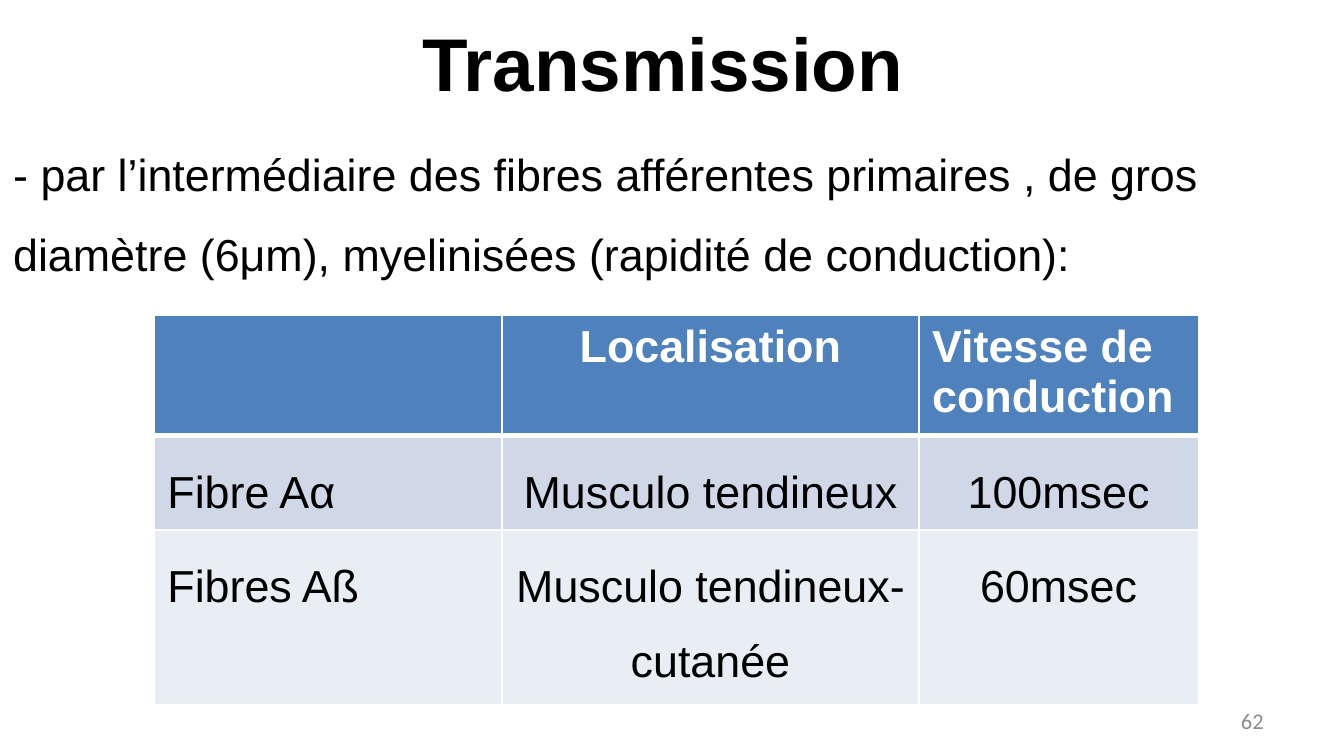
"""Build the slide on the transmission speed of primary afferent fibres."""
from lxml import etree
from pptx import Presentation
from pptx import util as u
from pptx.dml.color import RGBColor
from pptx.enum import text
from pptx.oxml import ns

COLORS = {"ink": "000000", "white": "FFFFFF", "number": "8C8C8C",
          "header": "4F81BD", "band_dark": "D0D8E8", "band_light": "E9EDF4"}
LEFT, CENTER, RIGHT = text.PP_ALIGN.LEFT, text.PP_ALIGN.CENTER, text.PP_ALIGN.RIGHT
TOP, MIDDLE = text.MSO_ANCHOR.TOP, text.MSO_ANCHOR.MIDDLE

LABELS = [
    ("Transmission ", (36.5, -0.7, 648, 67.7),
     dict(size=40, bold=True, align=CENTER, anchor=MIDDLE)),
    ("- par l’intermédiaire des fibres afférentes primaires , de gros diamètre "
     "(6μm), myelinisées (rapidité de conduction):", (0, 60.5, 720, 267),
     dict(spacing=1.5)),
    ("62", (516, 375, 168, 21.6),
     dict(size=12, font="Calibri", color="number", align=RIGHT, anchor=MIDDLE)),
]

FIBRES = [
    ("", "Localisation", "Vitesse de conduction"),
    ("Fibre Aα", "Musculo tendineux", "100msec"),
    ("Fibres Aß", "Musculo tendineux- cutanée", "60msec"),
]
COLUMN_WIDTHS = (186.5, 223.2, 149.8)
ROW_HEIGHTS = (60, 47, 87)
ROW_FILLS = ("header", "band_dark", "band_light")
HEADER_ALIGN = (LEFT, CENTER, LEFT)
BODY_ALIGN = (LEFT, CENTER, CENTER)


def write(frame, words, size=24, font="Arial", color="ink", bold=False,
          align=LEFT, anchor=TOP, spacing=1.0):
    frame.word_wrap = True
    frame.vertical_anchor = anchor
    paragraph = frame.paragraphs[0]
    paragraph.alignment = align
    paragraph.line_spacing = spacing
    paragraph.font.size = u.Pt(size)
    if words:
        run = paragraph.add_run()
        run.text = words
        run.font.size, run.font.name, run.font.bold = u.Pt(size), font, bold
        run.font.color.rgb = RGBColor.from_string(COLORS[color])


def draw_borders(cell, widths):
    properties = cell._tc.get_or_add_tcPr()
    for side, width in widths.items():
        line = etree.SubElement(properties, ns.qn(f"a:ln{side}"), w=str(u.Pt(width)))
        fill = etree.SubElement(line, ns.qn("a:solidFill"))
        etree.SubElement(fill, ns.qn("a:srgbClr"), val=COLORS["white"])


def add_fibre_table(slide):
    table = slide.shapes.add_table(
        len(FIBRES), len(COLUMN_WIDTHS), u.Pt(82.5), u.Pt(168.7),
        u.Pt(sum(COLUMN_WIDTHS)), u.Pt(sum(ROW_HEIGHTS))).table
    for column, width in zip(table.columns, COLUMN_WIDTHS):
        column.width = u.Pt(width)
    for r, fibre in enumerate(FIBRES):
        table.rows[r].height = u.Pt(ROW_HEIGHTS[r])
        header = r == 0
        for c, words in enumerate(fibre):
            cell = table.cell(r, c)
            draw_borders(cell, {"L": 1, "R": 1, "T": 3 if r == 1 else 1,
                                "B": 3 if header else 1})
            cell.fill.solid()
            cell.fill.fore_color.rgb = RGBColor.from_string(COLORS[ROW_FILLS[r]])
            write(cell.text_frame, words, bold=header,
                  color="white" if header else "ink",
                  align=(HEADER_ALIGN if header else BODY_ALIGN)[c],
                  spacing=1.0 if header else 1.5)


def main():
    deck = Presentation()
    deck.slide_width, deck.slide_height = u.Pt(720), u.Pt(405)
    slide = deck.slides.add_slide(deck.slide_layouts[6])
    for words, place, style in LABELS:
        box = slide.shapes.add_textbox(*map(u.Pt, place))
        write(box.text_frame, words, **style)
    add_fibre_table(slide)
    deck.save("out.pptx")


if __name__ == "__main__":
    main()
